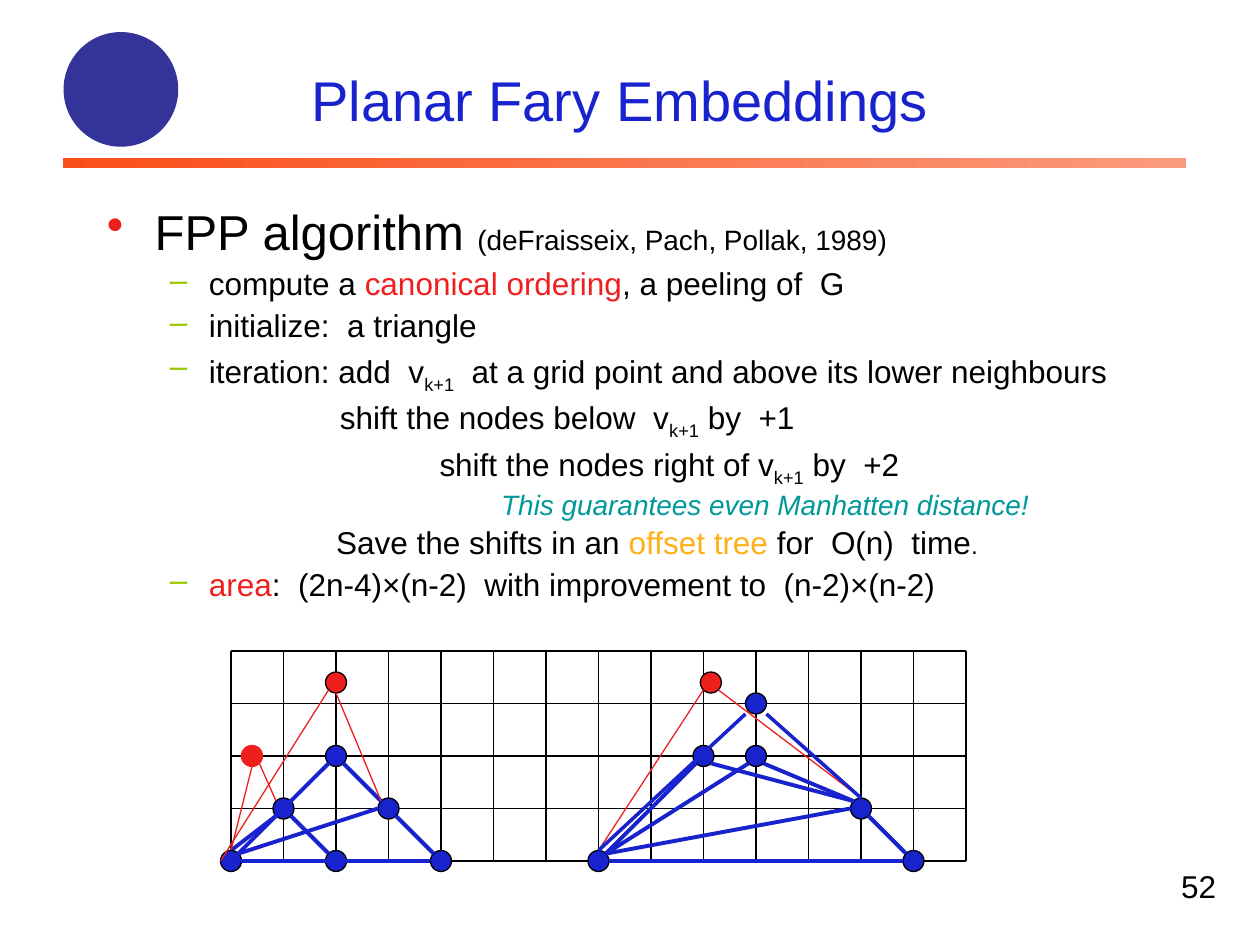
from dataclasses import dataclass
from typing import Optional, Union

from lxml.etree import SubElement
from pptx import Presentation
from pptx.dml.color import RGBColor
from pptx.enum.shapes import MSO_CONNECTOR, MSO_SHAPE
from pptx.enum.text import MSO_ANCHOR, PP_ALIGN
from pptx.oxml.ns import qn
from pptx.util import Inches, Pt

COLORS = {
    "black": "000000",
    "blue": "1822CD",
    "red": "EF1F1D",
    "lime": "99CC00",
    "teal": "009999",
    "amber": "FFAF18",
    "indigo": "333399",
    "rule left": "FA4E19",
    "rule right": "FB9B7D",
}
FONT = "Arial"


@dataclass(frozen=True)
class Grid:
    left: float
    top: float
    unit: float

    def place(self, column: float, row: float) -> tuple:
        return Inches(self.left + column * self.unit), Inches(self.top + row * self.unit)


@dataclass(frozen=True)
class Node:
    column: float
    row: float
    color: str = "blue"
    outline: str = "black"
    diameter: float = 0.4


@dataclass(frozen=True)
class Edge:
    start: tuple
    end: tuple
    color: str = "blue"
    width: float = 2.25


@dataclass(frozen=True)
class Span:
    text: str
    color: str = "black"
    size: Optional[float] = None
    subscript: bool = False


@dataclass(frozen=True)
class Line:
    spans: tuple
    bullet: Optional[str] = "–"
    bullet_color: str = "lime"
    indent: float = 0.81
    hanging: float = 0.31
    size: float = 18
    before: float = 4.5
    level: int = 1
    italic: bool = False


LATTICE = Grid(11 / 6, 31 / 6, 5 / 12)
LATTICE_COLUMNS, LATTICE_ROWS = 14, 4

DRAWING = (
    Node(2, 4),
    Node(1, 3),
    Edge((0, 3.8), (0.86, 3.14)),
    Edge((1.14, 3.14), (1.86, 3.86)),
    Edge((0.2, 4), (1.8, 4)),
    Node(0.4, 2, "red", "red"),
    Edge((0.4, 2.2), (0, 3.8), "red", 0.75),
    Edge((0.54, 2.14), (0.86, 2.86), "red", 0.75),
    Node(4, 4),
    Node(0, 4),
    Node(3, 3),
    Edge((0.14, 3.86), (2.8, 3)),
    Edge((3.14, 3.14), (3.86, 3.86)),
    Edge((0.2, 4), (3.8, 4)),
    Node(2, 2),
    Edge((1.86, 2.14), (0, 4)),
    Edge((2.14, 2.14), (2.86, 2.86)),
    Node(2, 0.6, "red"),
    Edge((-0.2, 4), (1.86, 0.74), "red", 0.75),
    Edge((2, 0.8), (2.86, 2.86), "red", 0.75),
    Node(9, 2),
    Edge((8.86, 2.14), (7.14, 3.86)),
    Edge((9.14, 2.14), (11.86, 2.86)),
    Node(9.14, 0.6, "red"),
    Edge((7, 3.8), (9, 0.74), "red", 0.75),
    Edge((9.28, 0.74), (12, 2.8), "red", 0.75),
    Node(13, 4),
    Node(7, 4),
    Node(12, 3),
    Edge((7.14, 3.86), (11.8, 3)),
    Edge((12.14, 3.14), (12.86, 3.86)),
    Edge((7.2, 4), (12.8, 4)),
    Node(10, 2),
    Edge((9.86, 2.14), (7.14, 3.86)),
    Edge((10.14, 2.14), (11.86, 2.86)),
    Node(10, 1),
    Edge((7, 3.8), (9.8, 1.2), width=2),
    Edge((10.2, 1.2), (12, 2.8), width=2),
)

INDEX = Span("k+1", subscript=True)
BODY = (
    Line((Span("FPP algorithm "), Span("(deFraisseix, Pach, Pollak, 1989)", size=16)),
         "•", "red", 0.38, 0.38, 28, 0, 0),
    Line((Span("compute a "), Span("canonical ordering", "red"), Span(", a peeling of  G"))),
    Line((Span("initialize:  a triangle"),)),
    Line((Span("iteration: add  v"), INDEX,
          Span("  at a grid point and above its lower neighbours"))),
    Line((Span("shift the nodes below  v"), INDEX, Span(" by  +1")),
         None, indent=1.85, hanging=0),
    Line((Span("shift the nodes right of v"), INDEX, Span(" by  +2")),
         None, indent=2.64, hanging=0),
    Line((Span("This guarantees even Manhatten distance!", "teal"),),
         None, indent=3.13, hanging=0, size=16, before=4, italic=True),
    Line((Span("Save the shifts in an "), Span("offset tree", "amber"),
          Span(" for  O(n)  time"), Span(".", size=14)),
         None, indent=1.82, hanging=0, before=3.5),
    Line((Span("area", "red"), Span(":  (2n-4)×(n-2)  with improvement to  (n-2)×(n-2)"))),
)


def rgb(name: str) -> RGBColor:
    return RGBColor.from_string(COLORS[name])


def draw_edge(page, grid: Grid, edge: Edge) -> None:
    line = page.shapes.add_connector(
        MSO_CONNECTOR.STRAIGHT, *grid.place(*edge.start), *grid.place(*edge.end))
    line.line.color.rgb = rgb(edge.color)
    line.line.width = Pt(edge.width)
    SubElement(line._element.spPr, qn("a:effectLst"))


def draw_node(page, grid: Grid, node: Node) -> None:
    radius = node.diameter / 2
    size = Inches(node.diameter * grid.unit)
    disc = page.shapes.add_shape(
        MSO_SHAPE.OVAL, *grid.place(node.column - radius, node.row - radius), size, size)
    disc.shadow.inherit = False
    disc.fill.solid()
    disc.fill.fore_color.rgb = rgb(node.color)
    disc.line.color.rgb = rgb(node.outline)
    disc.line.width = Pt(0.75)


def draw_items(page, grid: Grid, items: tuple[Union[Node, Edge], ...]) -> None:
    for item in items:
        if isinstance(item, Node):
            draw_node(page, grid, item)
        else:
            draw_edge(page, grid, item)


def draw_header(page) -> None:
    rule = page.shapes.add_shape(
        MSO_SHAPE.RECTANGLE, Inches(0.5), Inches(1.25), Inches(8.91), Inches(0.08))
    rule.shadow.inherit = False
    rule.line.fill.background()
    rule.fill.gradient()
    rule.fill.gradient_angle = 0
    for stop, name in zip(rule.fill.gradient_stops, ("rule left", "rule right")):
        stop.color.rgb = rgb(name)
    draw_node(page, Grid(0, 0, 1), Node(0.96, 0.71, "indigo", "indigo", 0.9))


def draw_lattice(page) -> None:
    rows = tuple(Edge((0, row), (LATTICE_COLUMNS, row), "black", 0.75)
                 for row in range(LATTICE_ROWS + 1))
    columns = tuple(Edge((column, 0), (column, LATTICE_ROWS), "black", 0.75)
                    for column in range(LATTICE_COLUMNS + 1))
    draw_items(page, LATTICE, rows + columns)


def add_frame(page, left: float, top: float, width: float, height: float):
    box = page.shapes.add_textbox(Inches(left), Inches(top), Inches(width), Inches(height))
    box.text_frame.word_wrap = True
    return box.text_frame


def write_line(para, line: Line) -> None:
    para.level = line.level
    properties = para._p.get_or_add_pPr()
    properties.set("marL", str(Inches(line.indent)))
    properties.set("indent", str(-Inches(line.hanging)))
    para.line_spacing = 0.9
    para.space_before = Pt(line.before)
    if line.bullet:
        color = SubElement(properties, qn("a:buClr"))
        SubElement(color, qn("a:srgbClr"), val=COLORS[line.bullet_color])
        SubElement(properties, qn("a:buChar"), char=line.bullet)
    para.font.name = FONT
    para.font.size = Pt(line.size)
    para.font.italic = line.italic
    for span in line.spans:
        run = para.add_run()
        run.text = span.text
        run.font.color.rgb = rgb(span.color)
        if span.size:
            run.font.size = Pt(span.size)
        if span.subscript:
            run._r.get_or_add_rPr().set("baseline", "-25000")


def write_label(frame, text: str, size: float, color: str, align) -> None:
    para = frame.paragraphs[0]
    para.text = text
    para.alignment = align
    para.font.name = FONT
    para.font.size = Pt(size)
    para.font.color.rgb = rgb(color)


def main() -> None:
    deck = Presentation()
    deck.slide_width, deck.slide_height = Inches(10), Inches(7.5)
    page = deck.slides.add_slide(deck.slide_layouts[6])
    draw_header(page)
    title = add_frame(page, 0.67, 0.33, 8.5, 0.92)
    title.vertical_anchor = MSO_ANCHOR.MIDDLE
    write_label(title, "Planar Fary Embeddings", 32, "blue", PP_ALIGN.CENTER)
    body = add_frame(page, 0.75, 1.6, 8.5, 4)
    for index, line in enumerate(BODY):
        write_line(body.add_paragraph() if index else body.paragraphs[0], line)
    draw_lattice(page)
    draw_items(page, LATTICE, DRAWING)
    write_label(add_frame(page, 9.05, 6.83, 0.7, 0.4), "52", 18, "black", PP_ALIGN.RIGHT)
    deck.save("out.pptx")


if __name__ == "__main__":
    main()
